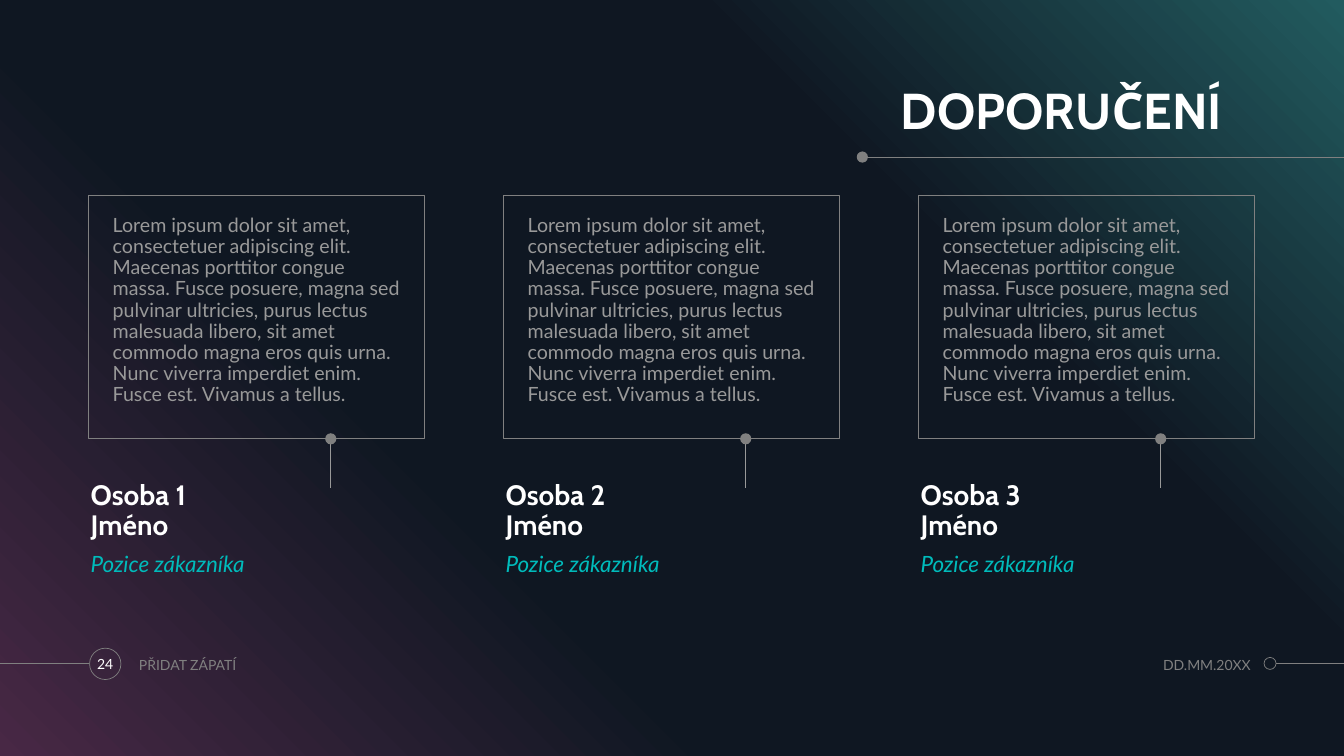
from copy import deepcopy

from lxml import etree
from pptx import Presentation
from pptx.dml.color import RGBColor
from pptx.enum.shapes import MSO_CONNECTOR, MSO_SHAPE
from pptx.enum.text import MSO_ANCHOR, PP_ALIGN
from pptx.oxml.ns import qn
from pptx.util import Pt

RECTANGLE, OVAL = MSO_SHAPE.RECTANGLE, MSO_SHAPE.OVAL
STRAIGHT = MSO_CONNECTOR.STRAIGHT
TOP, MIDDLE, BOTTOM = MSO_ANCHOR.TOP, MSO_ANCHOR.MIDDLE, MSO_ANCHOR.BOTTOM
LEFT, CENTER, RIGHT = PP_ALIGN.LEFT, PP_ALIGN.CENTER, PP_ALIGN.RIGHT

PLUM = RGBColor(0x48, 0x28, 0x45)
NIGHT = RGBColor(0x0F, 0x17, 0x22)
PETROL = RGBColor(0x22, 0x5B, 0x5F)
GRAY = RGBColor(0x80, 0x80, 0x80)
LIGHT_GRAY = RGBColor(0x99, 0x99, 0x99)
WHITE = RGBColor(0xFF, 0xFF, 0xFF)
TEAL = RGBColor(0x00, 0xBB, 0xBB)

QUOTE = (
    "Lorem ipsum dolor sit amet, consectetuer adipiscing elit. Maecenas porttitor "
    "congue massa. Fusce posuere, magna sed pulvinar ultricies, purus lectus malesuada "
    "libero, sit amet commodo magna eros quis urna. Nunc viverra imperdiet enim. "
    "Fusce est. Vivamus a tellus."
)

prs = Presentation()
prs.slide_width, prs.slide_height = Pt(960), Pt(540)
slide = prs.slides.add_slide(prs.slide_layouts[6])
shapes = slide.shapes


def write(holder, text, size, color, font="Lato", align=LEFT, anchor=TOP,
          inset=(0, 0), spacing=1.0, bold=False, italic=False):
    frame = holder.text_frame
    frame.word_wrap = True
    frame.vertical_anchor = anchor
    frame.margin_left = frame.margin_right = Pt(inset[0])
    frame.margin_top = frame.margin_bottom = Pt(inset[1])
    frame.text = text
    paragraph = frame.paragraphs[0]
    paragraph.alignment = align
    paragraph.line_spacing = spacing
    paragraph.font.name = font
    paragraph.font.size = Pt(size)
    paragraph.font.color.rgb = color
    paragraph.font.bold = bold
    paragraph.font.italic = italic


def outline(kind, left, top, width, height, weight=0.5, filled=False):
    shape = shapes.add_shape(kind, Pt(left), Pt(top), Pt(width), Pt(height))
    shape.shadow.inherit = False
    if filled:
        shape.fill.solid()
        shape.fill.fore_color.rgb = GRAY
        shape.line.fill.background()
    else:
        shape.fill.background()
        shape.line.color.rgb = GRAY
        shape.line.width = Pt(weight)
    return shape


backdrop = outline(RECTANGLE, 0, 0, 960, 540, filled=True)
backdrop.fill.gradient()
backdrop.fill.gradient_angle = 45
stop_list = backdrop.fill.gradient_stops and next(backdrop._element.iter(qn("a:gsLst")))
for _ in range(2):
    stop_list.append(deepcopy(stop_list[0]))
gradient = [(0, PLUM), (0.34, NIGHT), (0.69, NIGHT), (1, PETROL)]
for stop, (position, color) in zip(backdrop.fill.gradient_stops, gradient):
    stop.position = position
    stop.color.rgb = color

column_lefts = [63.3 + 296.4 * column for column in range(3)]
pin_xs = [left + 173 for left in column_lefts]

rules = [
    (960, 112.2, 618.5, 112.2, GRAY),
    (911.5, 473.9, 960, 473.9, GRAY),
    (0, 474, 63.5, 474, GRAY),
] + [(x, 348.5, x, 313.5, LIGHT_GRAY) for x in pin_xs]
for x1, y1, x2, y2, color in rules:
    rule = shapes.add_connector(STRAIGHT, Pt(x1), Pt(y1), Pt(x2), Pt(y2))
    rule.line.color.rgb = color
    rule.line.width = Pt(0.5)
    etree.SubElement(rule._element.spPr, qn("a:effectLst"))

for x, y in [(616, 112.2)] + [(x, 313.5) for x in pin_xs]:
    outline(OVAL, x - 4, y - 4, 8, 8, filled=True)
outline(OVAL, 902.9, 469.6, 8.6, 8.6)
page_badge = outline(OVAL, 64, 463, 22.4, 22.4)
write(page_badge, "24", 10, WHITE, align=CENTER, anchor=MIDDLE)

title = shapes.add_textbox(Pt(402), Pt(55.4), Pt(471), Pt(44.6))
write(title, "DOPORUČENÍ", 36, WHITE, "Cabin", RIGHT, BOTTOM, spacing=0.9, bold=True)

for number, left in enumerate(column_lefts, 1):
    card = outline(RECTANGLE, left, 139.5, 240, 174, weight=0.75)
    write(card, QUOTE, 14, LIGHT_GRAY, inset=(17.2, 14.4), spacing=0.9)
    person = shapes.add_textbox(Pt(left + 1.5), Pt(329.8), Pt(128), Pt(57))
    write(person, f"Osoba {number}\vJméno", 20, WHITE, "Cabin",
          anchor=BOTTOM, spacing=0.9, bold=True)
    position_held = shapes.add_textbox(Pt(left + 1.5), Pt(393), Pt(128), Pt(26))
    write(position_held, "Pozice zákazníka", 16, TEAL, italic=True)

footer = shapes.add_textbox(Pt(92.2), Pt(463), Pt(230), Pt(24))
write(footer, "PŘIDAT ZÁPATÍ", 10, GRAY, anchor=MIDDLE, inset=(7.2, 3.6))
date = shapes.add_textbox(Pt(788.4), Pt(463), Pt(105), Pt(24))
write(date, "DD.MM.20XX", 10, GRAY, align=RIGHT, anchor=MIDDLE)

prs.save("out.pptx")
